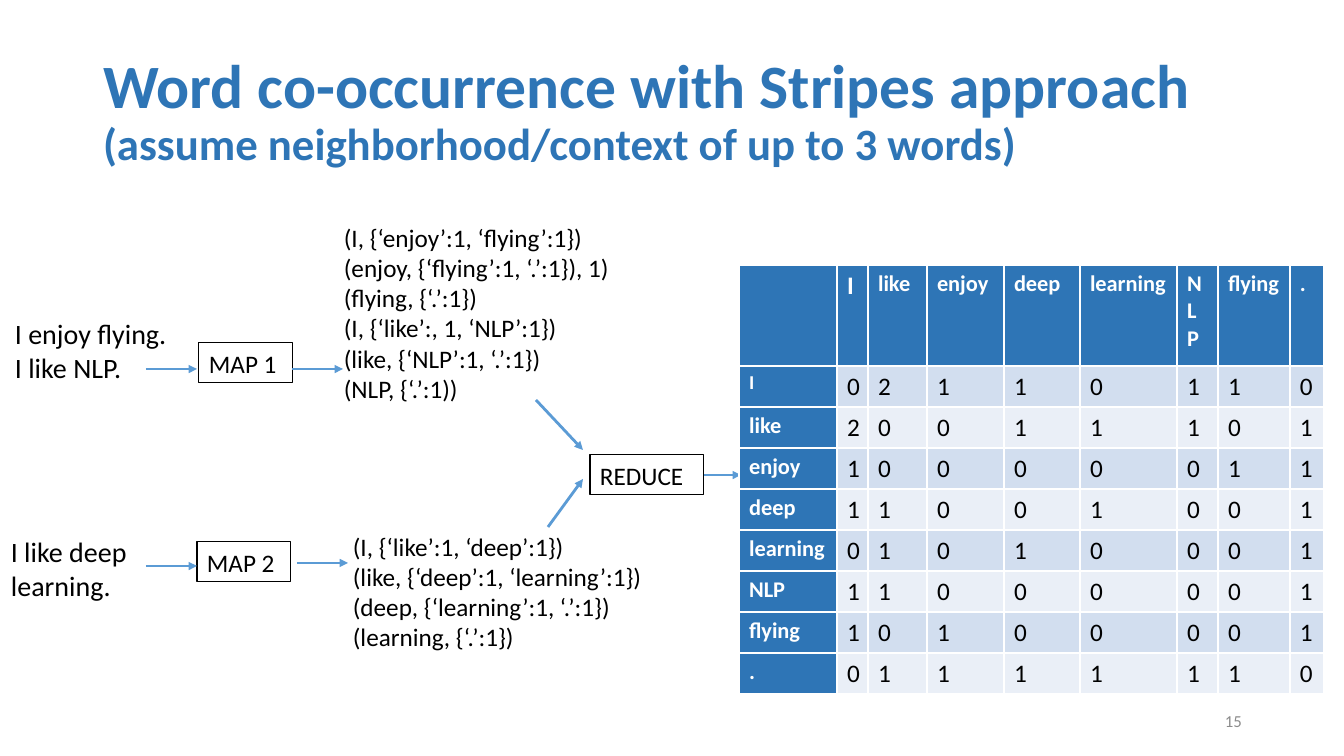
import pptx
import pptx.util
import pptx.dml.color
import pptx.enum.text
import pptx.enum.shapes
import pptx.oxml.ns
import lxml.etree

SCALE = 914400 / 100.8  # EMU in one pixel
FONT = "Calibri"
COLORS = {"title": "2E75B6", "header": "2E75B6", "arrow": "5B9BD5", "ink": "000000",
          "white": "FFFFFF", "number": "8C8C8C", "odd": "D2DEEF", "even": "EAEFF7"}
ALIGN = pptx.enum.text.PP_ALIGN
ANCHOR = pptx.enum.text.MSO_ANCHOR


def px(value):
    return pptx.util.Emu(round(value * SCALE))


def rgb(name):
    return pptx.dml.color.RGBColor.from_string(COLORS[name])


def write(frame, lines, sizes=(18,), color="ink", bold=False, align=ALIGN.LEFT,
          anchor=ANCHOR.TOP, spacing=None, one_paragraph=False):
    """Write lines as paragraphs, or as one paragraph with line breaks."""
    frame.word_wrap = True
    frame.auto_size = pptx.enum.text.MSO_AUTO_SIZE.NONE
    frame.vertical_anchor = anchor
    para = frame.paragraphs[0]
    for index, line in enumerate(lines):
        if index and one_paragraph:
            para.add_line_break()
        elif index:
            para = frame.add_paragraph()
        para.alignment = align
        para.line_spacing = spacing
        span = para.add_run()
        span.text = line
        span.font.name = FONT
        span.font.size = pptx.util.Pt(sizes[min(index, len(sizes) - 1)])
        span.font.bold = bold
        span.font.color.rgb = rgb(color)


def add_text(page, box, lines, **style):
    shape = page.shapes.add_textbox(*map(px, box))
    write(shape.text_frame, lines, **style)


def add_step(page, box, name):
    shape = page.shapes.add_shape(pptx.enum.shapes.MSO_SHAPE.RECTANGLE, *map(px, box))
    shape.shadow.inherit = False
    shape.fill.background()
    shape.line.color.rgb = rgb("ink")
    shape.line.width = pptx.util.Pt(0.75)
    write(shape.text_frame, [name])


def add_arrow(page, start, end):
    arrow = page.shapes.add_connector(pptx.enum.shapes.MSO_CONNECTOR.STRAIGHT,
                                      *map(px, (*start, *end)))
    arrow.line.color.rgb = rgb("arrow")
    arrow.line.width = pptx.util.Pt(2)
    qn = pptx.oxml.ns.qn
    lxml.etree.SubElement(arrow.line._get_or_add_ln(), qn("a:tailEnd"), type="triangle")
    lxml.etree.SubElement(arrow._element.spPr, qn("a:effectLst"))


def add_title(page, box, lines):
    title = page.shapes.title
    title.left, title.top, title.width, title.height = map(px, box)
    write(title.text_frame, lines, sizes=(44, 32), color="title", bold=True,
          anchor=ANCHOR.MIDDLE, spacing=0.9, one_paragraph=True)


def add_map_lane(page, box, sentences, name, pairs, step, pairs_at, arrows):
    """Sentences, map step and emitted pairs, joined by two level arrows."""
    left, top, width, height = box
    add_text(page, box, sentences, sizes=(20,))
    add_step(page, (left + step[0], top + step[1], 94, 40), name)
    add_text(page, (left + pairs_at[0], top + pairs_at[1], 312, 10 + 30 * len(pairs)), pairs)
    for x, y in arrows:
        add_arrow(page, (left + x, top + y), (left + x + 51, top + y))


def add_reduce(page, box):
    """Reduce step with an arrow from each lane and one to the table."""
    left, top, width, height = box
    add_step(page, box, "REDUCE")
    add_arrow(page, (left - 54, top - 55), (left - 7, top - 5))
    add_arrow(page, (left - 42, top + 72), (left - 7, top + 24))
    add_arrow(page, (left + width, top + 20), (left + width + 37, top + 20))


def add_counts(page, box, words, counts, widths):
    """Co-occurrence matrix with the words as both headings."""
    left, top, width, height = box
    size = len(words) + 1
    table = page.shapes.add_table(size, size, *map(px, box)).table
    table.first_col = True
    header_height = height - 41 * len(words)
    for column, column_width in zip(table.columns, widths):
        column.width = px(column_width)
    for index, row in enumerate(table.rows):
        row.height = px(41 if index else header_height)
    rows = [["", *words]] + [[word, *line] for word, line in zip(words, counts)]
    for r, row in enumerate(rows):
        for c, value in enumerate(row):
            cell = table.cell(r, c)
            heading = r == 0 or c == 0
            cell.fill.solid()
            cell.fill.fore_color.rgb = rgb("header" if heading else "odd" if r % 2 else "even")
            point = 16 if heading else 18
            if value == "I":
                point = 18 if r == 0 else 14
            if value:
                write(cell.text_frame, [value], sizes=(point,), bold=heading,
                      color="white" if heading else "ink")


deck = pptx.Presentation()
deck.slide_width, deck.slide_height = px(1344), px(756)
page = deck.slides.add_slide(deck.slide_layouts[5])

add_title(page, (93, 40, 1159, 146),
          ["Word co-occurrence with Stripes approach",
           "(assume neighborhood/context of up to 3 words)"])

# Map lanes and reduce step
add_map_lane(page, (5, 312, 198, 78), ["I enjoy flying.", "I like NLP."], "MAP 1",
             ["(I, {‘enjoy’:1, ‘flying’:1})", "(enjoy, {‘flying’:1, ‘.’:1}), 1)",
              "(flying, {‘.’:1})", "(I, {‘like’:, 1, ‘NLP’:1})",
              "(like, {‘NLP’:1, ‘.’:1})", "(NLP, {‘.’:1))"],
             step=(194, 31), pairs_at=(329, -95), arrows=[(141, 57), (287, 57)])
add_map_lane(page, (1, 530, 198, 78), ["I like deep", "learning."], "MAP 2",
             ["(I, {‘like’:1, ‘deep’:1})", "(like, {‘deep’:1, ‘learning’:1})",
              "(deep, {‘learning’:1, ‘.’:1})", "(learning, {‘.’:1})"],
             step=(196, 12), pairs_at=(342, -4), arrows=[(145, 36), (296, 33)])
add_reduce(page, (590, 455, 114, 40))

# Result table
add_counts(page, (739, 265, 585, 429),
           ["I", "like", "enjoy", "deep", "learning", "NLP", "flying", "."],
           ["02110110", "20011101", "10000011", "11001001",
            "01010001", "11000001", "10100001", "01111110"],
           [98, 31, 59, 77, 76, 97, 41, 72, 34])

# Page number
add_text(page, (950, 701, 302, 40), ["15"], sizes=(12,), color="number",
         align=ALIGN.RIGHT, anchor=ANCHOR.MIDDLE)

deck.save("out.pptx")
